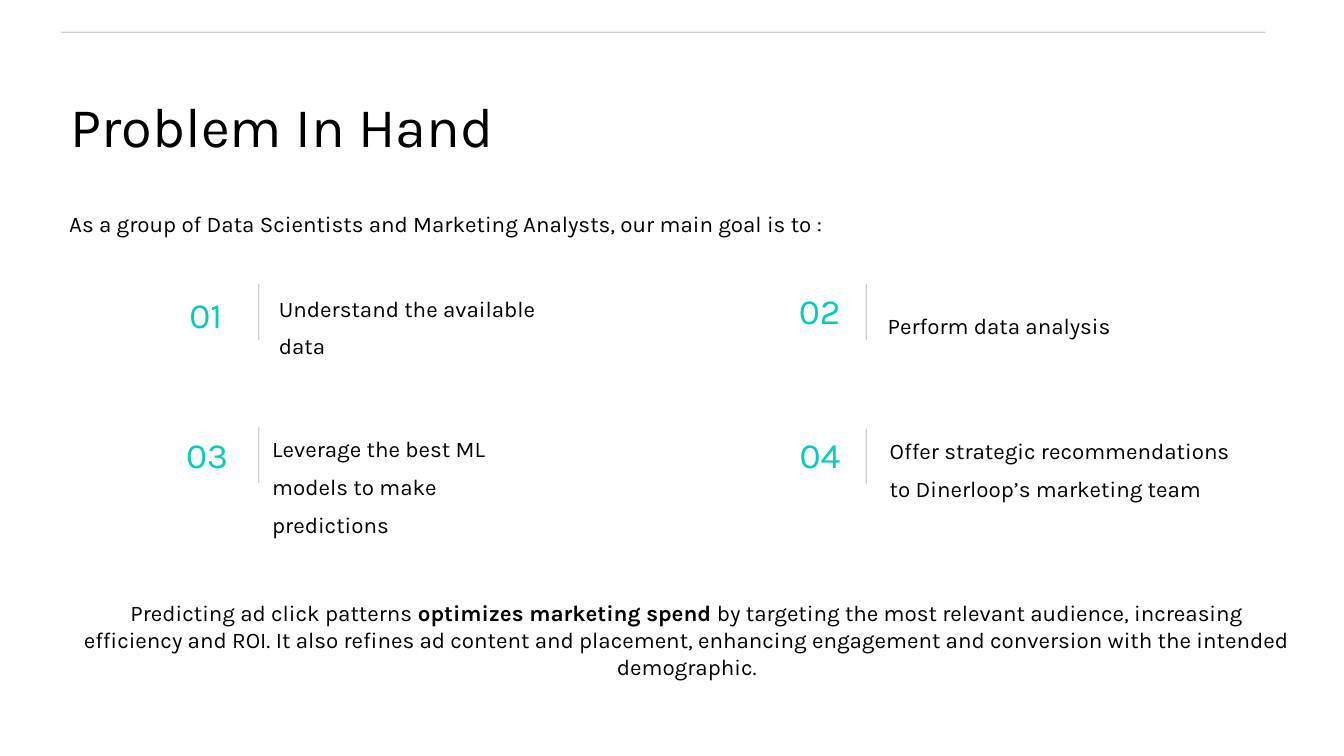
from lxml import etree
from pptx import Presentation
from pptx import util as u
from pptx.dml.color import RGBColor
from pptx.enum import shapes, text
from pptx.oxml.ns import qn

PX = u.Inches(1) // 200
BODY = {"name": "Karla", "size": u.Pt(12), "bold": False}
NUMBER = {**BODY, "size": u.Pt(19)}
TITLE = {**BODY, "size": u.Pt(30)}


def fill_text(shape, box, runs, font, color="000000", spacing=1.0, inset=0,
              align=text.PP_ALIGN.LEFT):
    """Place a shape and fill it with one paragraph of (words, bold) runs."""
    for side, value in zip(("left", "top", "width", "height"), box):
        setattr(shape, side, value * PX)
    frame = shape.text_frame
    settings = {"word_wrap": True, "auto_size": text.MSO_AUTO_SIZE.NONE,
                "vertical_anchor": text.MSO_ANCHOR.TOP}
    for side in ("left", "top", "right", "bottom"):
        settings[f"margin_{side}"] = inset * PX
    for name, value in settings.items():
        setattr(frame, name, value)
    paragraph = frame.paragraphs[0]
    paragraph.alignment = align
    paragraph.line_spacing = spacing
    for words, bold in runs:
        run = paragraph.add_run()
        run.text = words
        for name, value in {**font, "bold": bold}.items():
            setattr(run.font, name, value)
        run.font.color.rgb = RGBColor.from_string(color)


def add_rule(x1, y1, x2, y2):
    """Draw a thin line at 20% opacity."""
    line = slide.shapes.add_connector(
        shapes.MSO_CONNECTOR.STRAIGHT, x1 * PX, y1 * PX, x2 * PX, y2 * PX)
    line.line.width = u.Pt(0.75)
    line.line.color.rgb = RGBColor.from_string("111111")
    properties = line._element.spPr
    color = properties.find(".//" + qn("a:srgbClr"))
    etree.SubElement(color, qn("a:alpha")).set("val", "20000")
    etree.SubElement(properties, qn("a:effectLst"))


presentation = Presentation()
presentation.slide_width = 2000 * PX
presentation.slide_height = 1125 * PX
slide = presentation.slides.add_slide(presentation.slide_layouts[5])

# Heading and introduction
fill_text(slide.shapes.title, (105, 126, 1200, 92), [("Problem In Hand", False)],
          TITLE, spacing=1.1)
add_rule(91, 48, 1883, 48)
intro = "As a group of Data Scientists and Marketing Analysts, our main goal is to :"
fill_text(slide.shapes.add_textbox(0, 0, 0, 0), (103, 297, 1674, 84),
          [(intro, False)], BODY, spacing=1.4)

# Numbered goals: number position, divider position, text box, words
goals = [
    ((282, 436), (385, 423), (415, 423, 402, 34), "Understand the available data"),
    ((1189, 430), (1289, 423), (1321, 448, 418, 34), "Perform data analysis"),
    ((277, 645), (385, 636), (405, 632, 402, 184),
     "Leverage the best ML models to make predictions"),
    ((1190, 645), (1289, 638), (1324, 635, 536, 34),
     "Offer strategic recommendations to Dinerloop’s marketing team"),
]
for index, (number_at, (x, y), box, words) in enumerate(goals, 1):
    fill_text(slide.shapes.add_textbox(0, 0, 0, 0), (*number_at, 98, 68),
              [(f"{index:02}", False)], NUMBER, color="00CDBC")
    add_rule(x, y, x, y + 83)
    fill_text(slide.shapes.add_textbox(0, 0, 0, 0), box, [(words, False)],
              BODY, spacing=1.4)

# Closing summary
summary = [
    ("Predicting ad click patterns ", False),
    ("optimizes marketing spend", True),
    (" by targeting the most relevant audience, increasing efficiency and ROI. "
     "It also refines ad content and placement, enhancing engagement and "
     "conversion with the intended demographic.", False),
]
fill_text(slide.shapes.add_textbox(0, 0, 0, 0), (103, 872, 1838, 162), summary,
          BODY, inset=20, align=text.PP_ALIGN.CENTER)

presentation.save("out.pptx")
